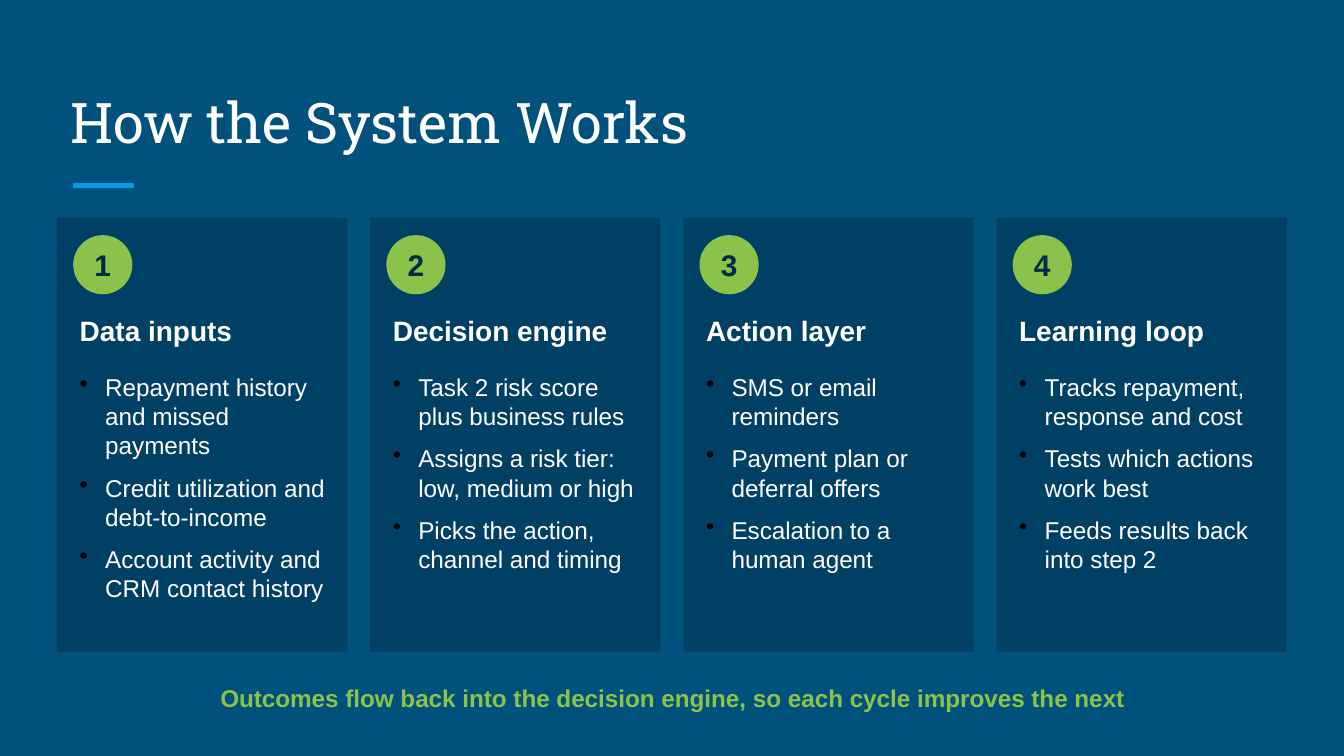
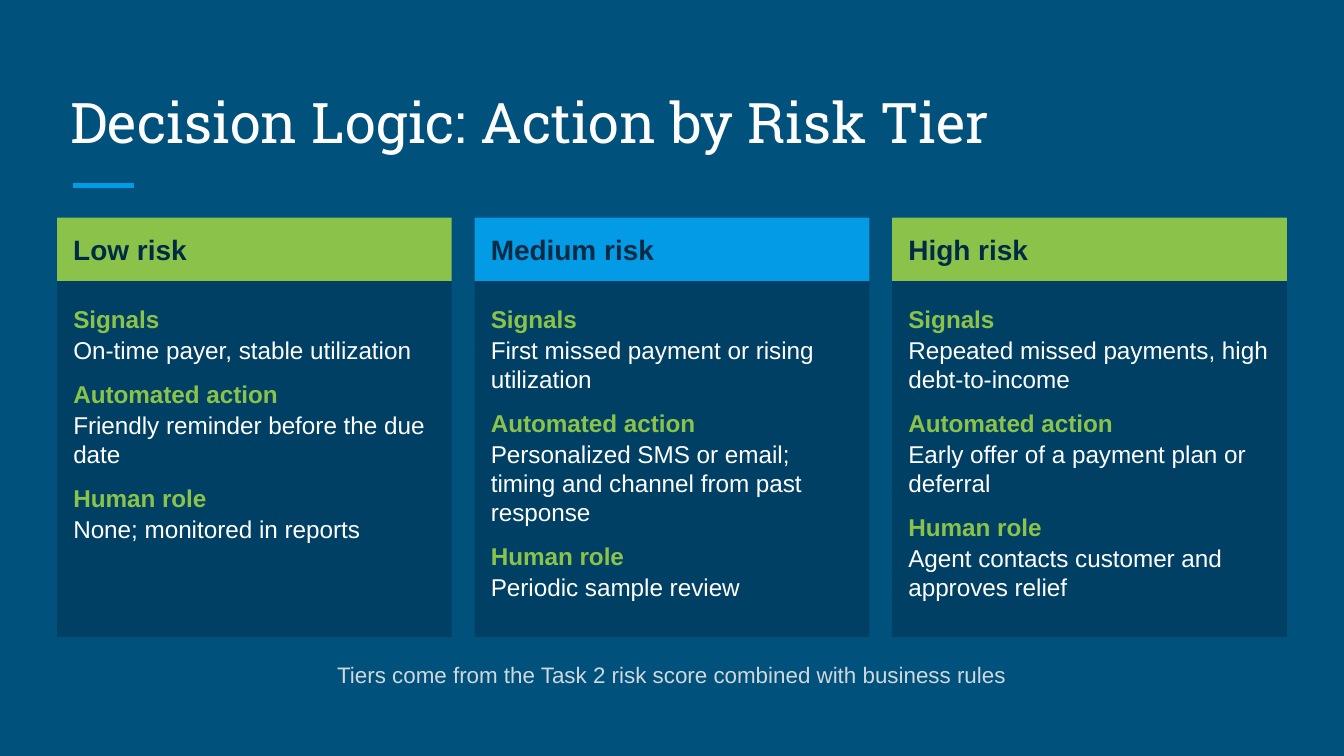
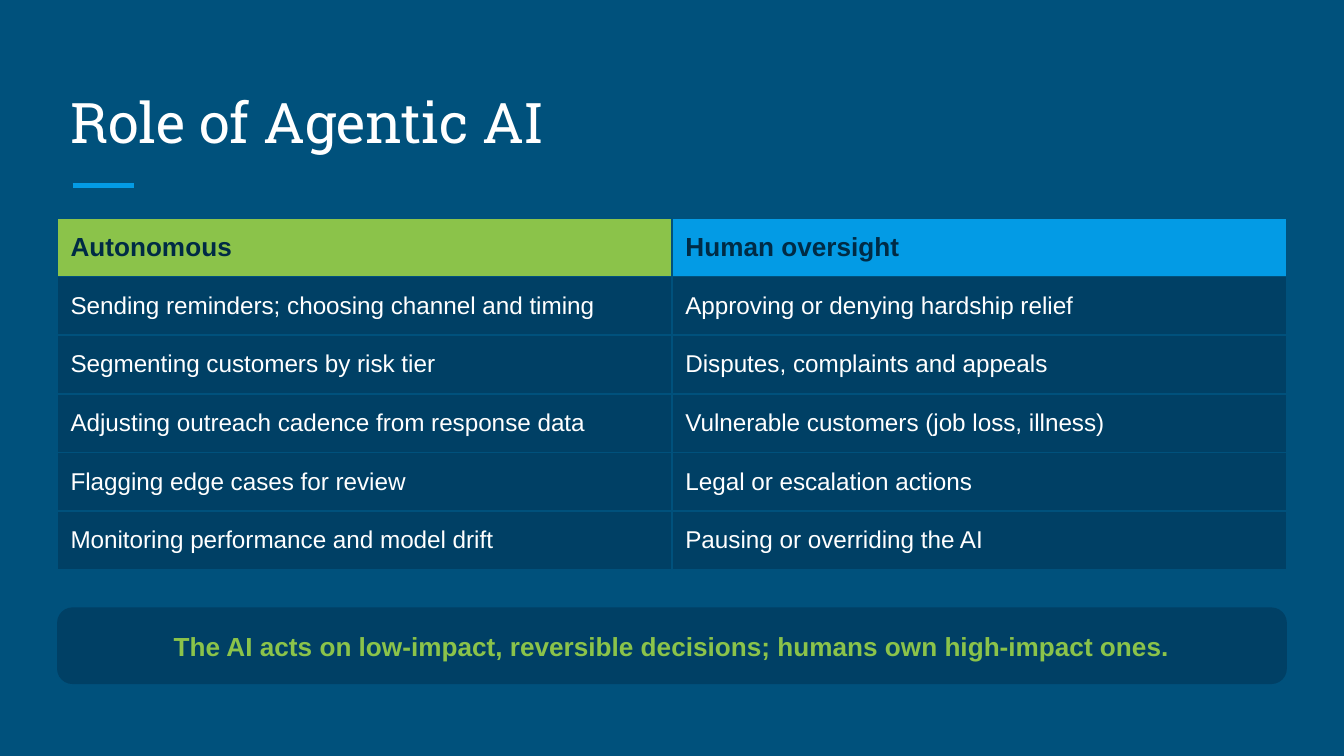
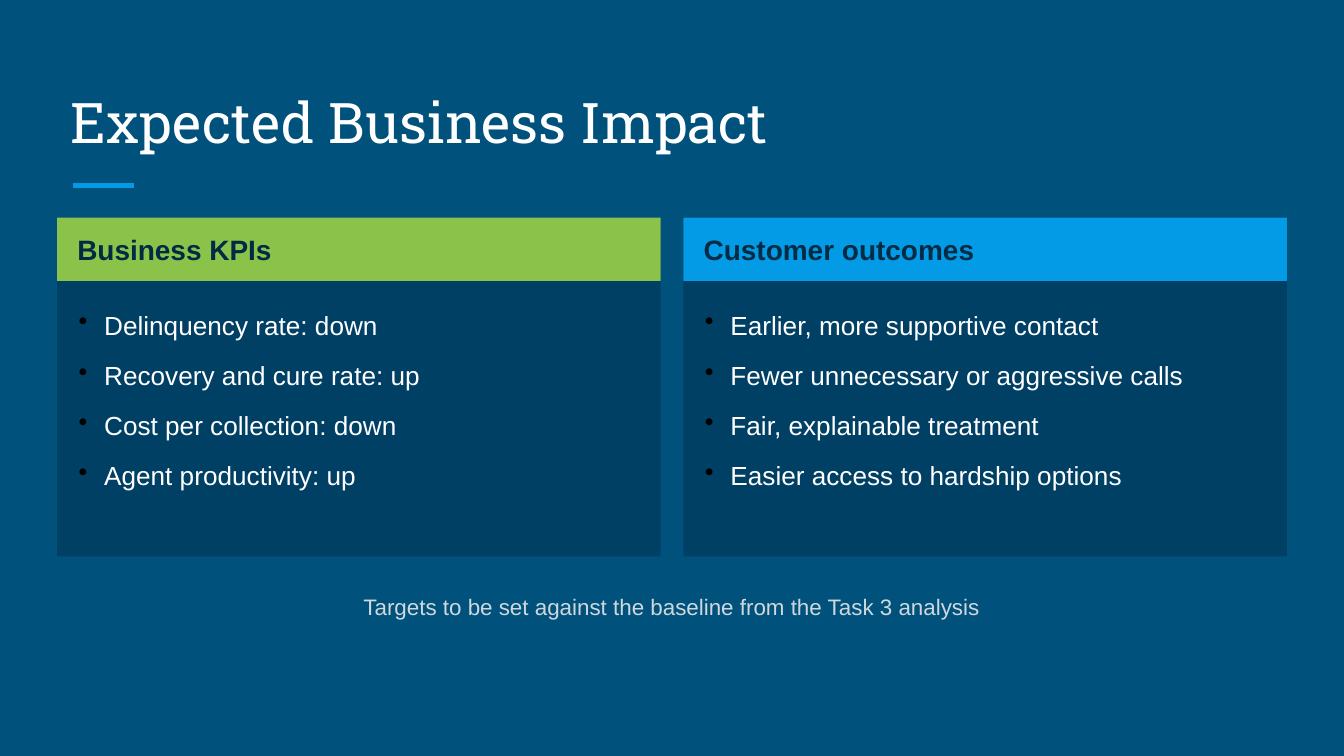
from lxml import etree
from pptx import Presentation
from pptx import util as u
from pptx.dml.color import RGBColor
from pptx.enum import shapes, text
from pptx.oxml import ns

Inches, Pt = u.Inches, u.Pt
RECT = shapes.MSO_SHAPE.RECTANGLE
MIDDLE = text.MSO_ANCHOR.MIDDLE
CENTER = text.PP_ALIGN.CENTER

# Shared colours, fonts and column grid
BLUE = RGBColor(0x00, 0x51, 0x7C)
PANEL = RGBColor(0x00, 0x40, 0x65)
NAVY = RGBColor(0x00, 0x2B, 0x45)
SKY = RGBColor(0x03, 0x9B, 0xE5)
GREEN = RGBColor(0x8B, 0xC3, 0x4A)
WHITE = RGBColor(0xFF, 0xFF, 0xFF)
GREY = RGBColor(0xCF, 0xD8, 0xDC)
TITLE_FONT, BODY_FONT = "Roboto Slab", "Arial"
SLIDE_W, WIDTH, TOP, GAP = 10, 9.15, 1.62, 0.17
LEFT = (SLIDE_W - WIDTH) / 2
HEAD_H = 0.47

prs = Presentation()
prs.slide_width, prs.slide_height = Inches(SLIDE_W), Inches(SLIDE_W * 9 / 16)
fill = prs.slide_master.background.fill
fill.solid()
fill.fore_color.rgb = BLUE


def new_slide(title):
    """Add a slide with the shared title style and accent line."""
    s = prs.slides.add_slide(prs.slide_layouts[5])
    line = s.shapes.add_connector(shapes.MSO_CONNECTOR.STRAIGHT,
                                  Inches(0.54), Inches(1.38), Inches(1), Inches(1.38))
    line.line.color.rgb = SKY
    line.line.width = Pt(3)
    etree.SubElement(line._element.spPr, ns.qn("a:effectLst"))
    sp = s.shapes.title
    sp.left, sp.top, sp.width, sp.height = [Inches(v) for v in (LEFT, 0.5, WIDTH, 0.75)]
    tf = sp.text_frame
    tf.text = title
    tf.auto_size = text.MSO_AUTO_SIZE.NONE
    tf.vertical_anchor = text.MSO_ANCHOR.BOTTOM
    tf.margin_left = tf.margin_top = tf.margin_right = tf.margin_bottom = Inches(0.1)
    p = tf.paragraphs[0]
    p.alignment = text.PP_ALIGN.LEFT
    font = p.runs[0].font
    font.name, font.size, font.color.rgb = TITLE_FONT, Pt(30), WHITE
    return s


def add_box(s, x, y, w, h, lines=(), size=13, color=WHITE, bold=False, shape=None, fill=None,
            inset=0.1, anchor=text.MSO_ANCHOR.TOP, align=text.PP_ALIGN.LEFT,
            after=0, bullets=False):
    """Add a filled shape, or a text box if no shape is given, with one paragraph per line."""
    box = [Inches(v) for v in (x, y, w, h)]
    if shape is None:
        sp = s.shapes.add_textbox(*box)
    else:
        sp = s.shapes.add_shape(shape, *box)
        sp.shadow.inherit = False
        sp.fill.solid()
        sp.fill.fore_color.rgb = fill
        sp.line.fill.background()
    tf = sp.text_frame
    tf.word_wrap = True
    tf.vertical_anchor = anchor
    tf.margin_left = tf.margin_top = tf.margin_right = tf.margin_bottom = Inches(inset)
    for i, line in enumerate(lines):
        p = tf.add_paragraph() if i else tf.paragraphs[0]
        p.text = line
        p.alignment = align
        p.space_after = Pt(after)
        if bullets:
            pPr = p._p.get_or_add_pPr()
            pPr.set("marL", str(Inches(0.19)))
            pPr.set("indent", str(-Inches(0.19)))
            bu_clr = etree.SubElement(pPr, ns.qn("a:buClr"))
            etree.SubElement(bu_clr, ns.qn("a:srgbClr"), val="000000")
            etree.SubElement(pPr, ns.qn("a:buChar"), char="•")
        font = p.runs[0].font
        font.name, font.size, font.bold, font.color.rgb = BODY_FONT, Pt(size), bold, color
    return sp


# Slide 1: four numbered steps
s = new_slide("How the System Works")
steps = [
    ("Data inputs", ["Repayment history and missed payments",
                     "Credit utilization and debt-to-income",
                     "Account activity and CRM contact history"]),
    ("Decision engine", ["Task 2 risk score plus business rules",
                         "Assigns a risk tier: low, medium or high",
                         "Picks the action, channel and timing"]),
    ("Action layer", ["SMS or email reminders",
                      "Payment plan or deferral offers",
                      "Escalation to a human agent"]),
    ("Learning loop", ["Tracks repayment, response and cost",
                       "Tests which actions work best",
                       "Feeds results back into step 2"]),
]
w = (WIDTH - GAP * (len(steps) - 1)) / len(steps)
for i, (name, points) in enumerate(steps):
    x = LEFT + i * (w + GAP)
    add_box(s, x, TOP, w, 3.23, shape=RECT, fill=PANEL)
    add_box(s, x + 0.12, 1.75, 0.44, 0.44, [str(i + 1)], 16, NAVY, True,
            shapes.MSO_SHAPE.OVAL, GREEN, inset=0, anchor=MIDDLE, align=CENTER)
    add_box(s, x + 0.07, 2.23, 2.03, 0.42, [name], 15, bold=True)
    add_box(s, x + 0.07, 2.67, 2.03, 2.13, points, after=7, bullets=True)
add_box(s, LEFT, 4.98, WIDTH, 0.42,
        ["Outcomes flow back into the decision engine, so each cycle improves the next"],
        13, GREEN, True, anchor=MIDDLE, align=CENTER)

# Slide 2: one column per risk tier
s = new_slide("Decision Logic: Action by Risk Tier")
labels = ["Signals", "Automated action", "Human role"]
tiers = [
    ("Low risk", GREEN, ["On-time payer, stable utilization",
                         "Friendly reminder before the due date",
                         "None; monitored in reports"]),
    ("Medium risk", SKY, ["First missed payment or rising utilization",
                          "Personalized SMS or email; timing and channel from past response",
                          "Periodic sample review"]),
    ("High risk", GREEN, ["Repeated missed payments, high debt-to-income",
                          "Early offer of a payment plan or deferral",
                          "Agent contacts customer and approves relief"]),
]
w = (WIDTH - GAP * (len(tiers) - 1)) / len(tiers)
for i, (name, color, details) in enumerate(tiers):
    x = LEFT + i * (w + GAP)
    add_box(s, x, TOP, w, 3.12, shape=RECT, fill=PANEL)
    add_box(s, x, TOP, w, HEAD_H, [name], 15, NAVY, True, RECT, color, inset=0.12, anchor=MIDDLE)
    lines = [line for pair in zip(labels, details) for line in pair]
    sp = add_box(s, x + 0.03, 2.17, 2.88, 2.52, lines, inset=0.09, after=8)
    for p in sp.text_frame.paragraphs[::2]:
        p.space_after = Pt(1)
        p.runs[0].font.bold = True
        p.runs[0].font.color.rgb = GREEN
add_box(s, LEFT, 4.84, WIDTH, 0.36,
        ["Tiers come from the Task 2 risk score combined with business rules"],
        12, GREY, anchor=MIDDLE, align=CENTER)

# Slide 3: table of responsibilities
s = new_slide("Role of Agentic AI")
rows = [
    ("Autonomous", "Human oversight"),
    ("Sending reminders; choosing channel and timing", "Approving or denying hardship relief"),
    ("Segmenting customers by risk tier", "Disputes, complaints and appeals"),
    ("Adjusting outreach cadence from response data", "Vulnerable customers (job loss, illness)"),
    ("Flagging edge cases for review", "Legal or escalation actions"),
    ("Monitoring performance and model drift", "Pausing or overriding the AI"),
]
table = s.shapes.add_table(len(rows), 2, Inches(LEFT), Inches(TOP),
                           Inches(WIDTH), Inches(2.62)).table
for r, row in enumerate(rows):
    for c, value in enumerate(row):
        cell = table.cell(r, c)
        cell.text = value
        cell.vertical_anchor = MIDDLE
        tcPr = cell._tc.get_or_add_tcPr()
        for side in ("lnL", "lnR", "lnT", "lnB"):
            ln = etree.SubElement(tcPr, ns.qn("a:" + side), w=str(Pt(1)))
            solid = etree.SubElement(ln, ns.qn("a:solidFill"))
            etree.SubElement(solid, ns.qn("a:srgbClr"), val=str(BLUE))
        cell.fill.solid()
        cell.fill.fore_color.rgb = PANEL if r else (GREEN, SKY)[c]
        font = cell.text_frame.paragraphs[0].runs[0].font
        font.name, font.bold = BODY_FONT, r == 0
        font.size = Pt(13 if r else 14)
        font.color.rgb = WHITE if r else NAVY
sp = add_box(s, LEFT, 4.52, WIDTH, 0.57,
             ["The AI acts on low-impact, reversible decisions; humans own high-impact ones."],
             14, GREEN, True, shapes.MSO_SHAPE.ROUNDED_RECTANGLE, PANEL,
             anchor=MIDDLE, align=CENTER)
sp.adjustments[0] = 0.2

# Slide 4: business and customer results
s = new_slide("Expected Business Impact")
impacts = [
    ("Business KPIs", GREEN, ["Delinquency rate: down", "Recovery and cure rate: up",
                              "Cost per collection: down", "Agent productivity: up"]),
    ("Customer outcomes", SKY, ["Earlier, more supportive contact",
                                "Fewer unnecessary or aggressive calls",
                                "Fair, explainable treatment",
                                "Easier access to hardship options"]),
]
w = (WIDTH - GAP * (len(impacts) - 1)) / len(impacts)
for i, (name, color, points) in enumerate(impacts):
    x = LEFT + i * (w + GAP)
    add_box(s, x, TOP, w, 2.52, shape=RECT, fill=PANEL)
    add_box(s, x, TOP, w, HEAD_H, [name], 15, NAVY, True, RECT, color, inset=0.15, anchor=MIDDLE)
    add_box(s, x + 0.05, 2.19, 4.41, 1.91, points, 14, inset=0.11, after=10, bullets=True)
add_box(s, LEFT, 4.3, WIDTH, 0.42,
        ["Targets to be set against the baseline from the Task 3 analysis"],
        12, GREY, anchor=MIDDLE, align=CENTER)

prs.save("out.pptx")
